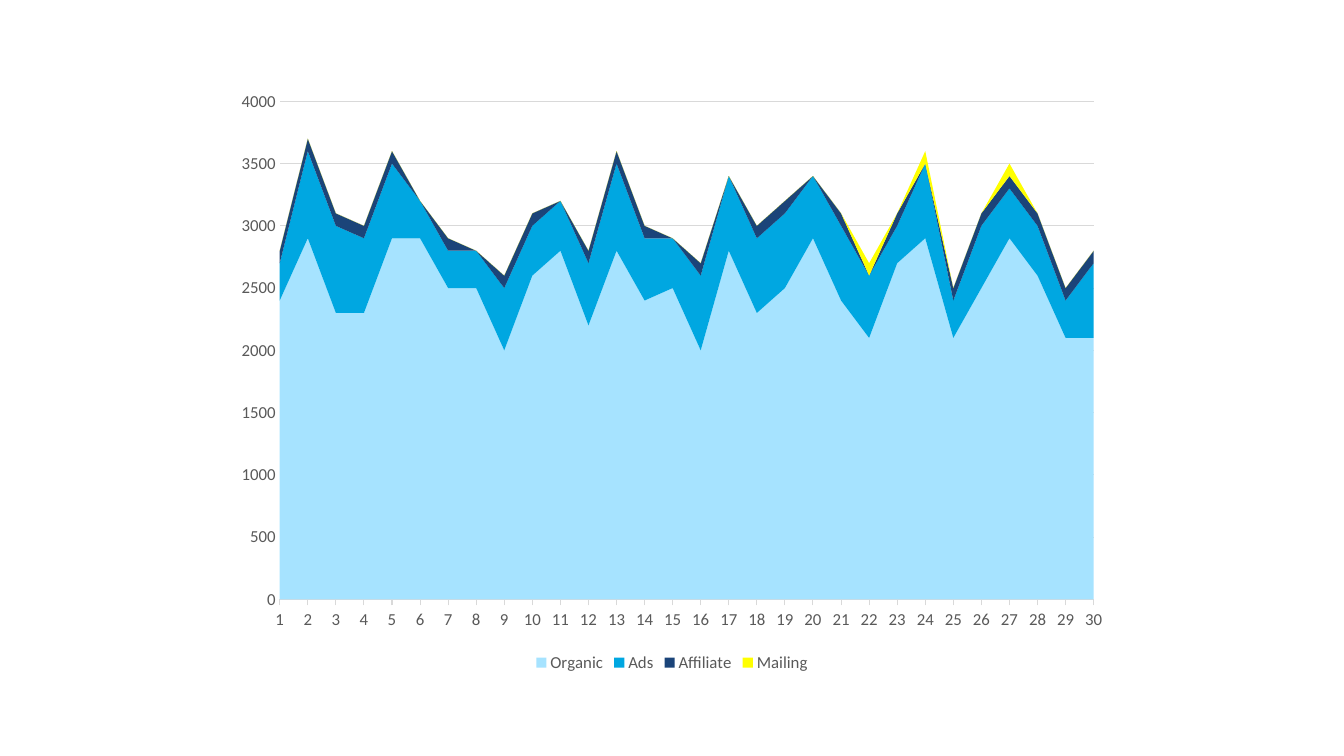
from dataclasses import dataclass

from pptx import Presentation
from pptx import util as u
from pptx.chart.axis import CategoryAxis, ValueAxis
from pptx.chart.chart import Chart
from pptx.chart.data import CategoryChartData
from pptx.dml.color import RGBColor
from pptx.dml.line import LineFormat
from pptx.enum import chart as ch
from pptx.text.text import Font

FONT = "Calibri"
TEXT, RULE = "595959", "D9D9D9"
CHART_WIDTH, CHART_HEIGHT = 0.667, 0.79  # shares of the slide


@dataclass(frozen=True)
class Channel:
    name: str
    color: str
    visits: list[int]


CHANNELS = [
    Channel("Organic", "A6E3FF", [
        2400, 2900, 2300, 2300, 2900, 2900, 2500, 2500, 2000, 2600,
        2800, 2200, 2800, 2400, 2500, 2000, 2800, 2300, 2500, 2900,
        2400, 2100, 2700, 2900, 2100, 2500, 2900, 2600, 2100, 2100]),
    Channel("Ads", "00A7E1", [
        300, 700, 700, 600, 600, 300, 300, 300, 500, 400,
        400, 500, 700, 500, 400, 600, 600, 600, 600, 500,
        600, 500, 300, 600, 300, 500, 400, 400, 300, 600]),
    Channel("Affiliate", "1B4479", [
        100, 100, 100, 100, 100, 0, 100, 0, 100, 100,
        0, 100, 100, 100, 0, 100, 0, 100, 100, 0,
        100, 0, 100, 0, 100, 100, 100, 100, 100, 100]),
    Channel("Mailing", "FFFF00", [
        0, 0, 0, 0, 0, 0, 0, 0, 0, 0,
        0, 0, 0, 0, 0, 0, 0, 0, 0, 0,
        0, 100, 0, 100, 0, 0, 100, 0, 0, 0]),
]


def rgb(color: str) -> RGBColor:
    return RGBColor.from_string(color)


def style_font(font: Font, size: float, color: str) -> None:
    font.name = FONT
    font.size = u.Pt(size)
    font.color.rgb = rgb(color)


def style_line(line: LineFormat) -> None:
    line.color.rgb = rgb(RULE)
    line.width = u.Pt(0.75)


def style_category_axis(axis: CategoryAxis) -> None:
    axis.has_major_gridlines = False
    axis.major_tick_mark = ch.XL_TICK_MARK.OUTSIDE
    axis.minor_tick_mark = ch.XL_TICK_MARK.NONE
    style_line(axis.format.line)
    style_font(axis.tick_labels.font, 12, TEXT)


def style_value_axis(axis: ValueAxis) -> None:
    axis.minimum_scale, axis.maximum_scale, axis.major_unit = 0, 4000, 500
    axis.major_tick_mark = axis.minor_tick_mark = ch.XL_TICK_MARK.NONE
    axis.has_major_gridlines = True
    style_line(axis.major_gridlines.format.line)
    axis.format.line.fill.background()
    style_font(axis.tick_labels.font, 12, TEXT)


def style_legend(chart: Chart) -> None:
    chart.has_legend = True
    chart.legend.position = ch.XL_LEGEND_POSITION.BOTTOM
    chart.legend.include_in_layout = False
    style_font(chart.legend.font, 12, TEXT)


def main() -> None:
    prs = Presentation()
    prs.slide_width, prs.slide_height = u.Inches(13.33), u.Inches(7.5)
    s = prs.slides.add_slide(prs.slide_layouts[6])

    # Visits by day and channel
    data = CategoryChartData()
    data.categories = [str(day) for day in range(1, 31)]
    for channel in CHANNELS:
        data.add_series(channel.name, channel.visits)

    # Chart centred on the slide
    width = int(prs.slide_width * CHART_WIDTH)
    height = int(prs.slide_height * CHART_HEIGHT)
    left = (prs.slide_width - width) // 2
    top = (prs.slide_height - height) // 2
    chart = s.shapes.add_chart(
        ch.XL_CHART_TYPE.AREA_STACKED, left, top, width, height, data).chart
    chart.has_title = False
    style_font(chart.font, 10, "000000")

    # Areas
    for series, channel in zip(chart.plots[0].series, CHANNELS):
        series.format.fill.solid()
        series.format.fill.fore_color.rgb = rgb(channel.color)
        series.format.line.fill.background()

    # Axes and legend
    style_category_axis(chart.category_axis)
    style_value_axis(chart.value_axis)
    style_legend(chart)

    prs.save("out.pptx")


if __name__ == "__main__":
    main()
